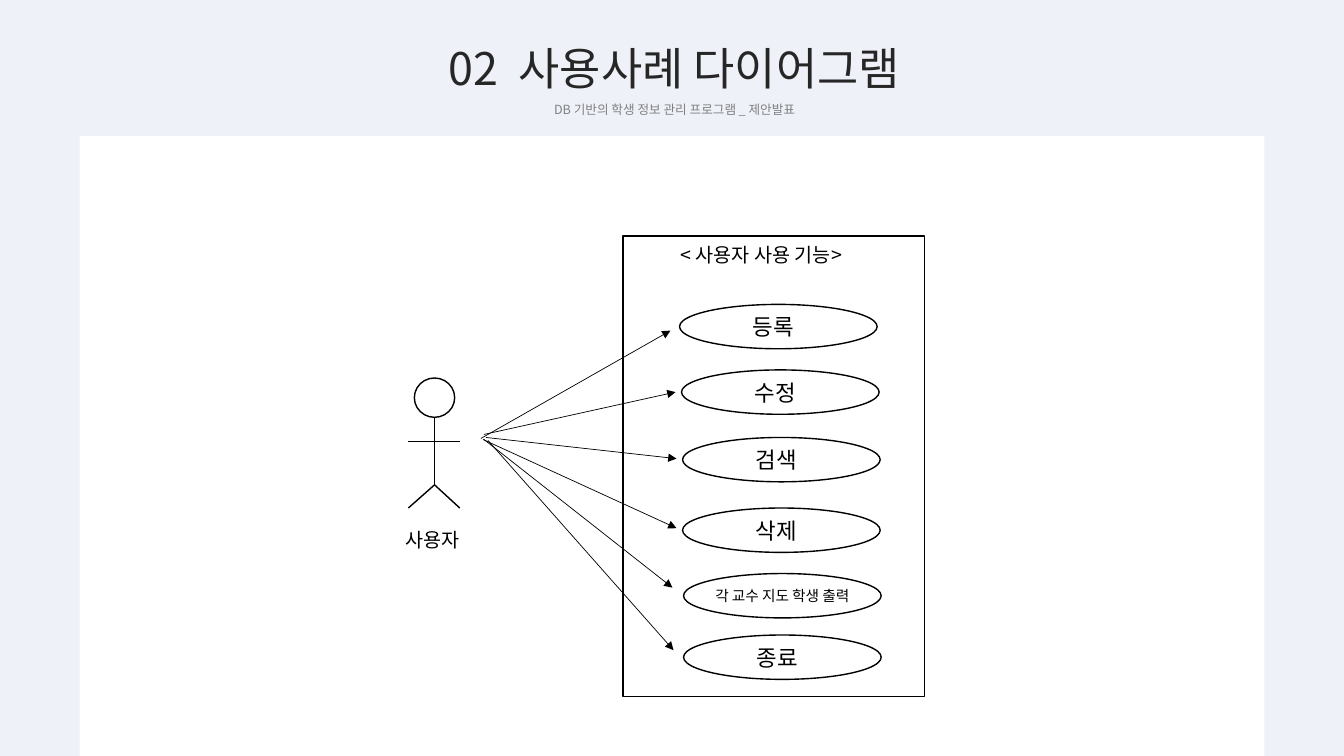
from pptx import Presentation
from pptx.dml.color import RGBColor
from pptx.enum.shapes import MSO_CONNECTOR as Connector, MSO_SHAPE as Shape
from pptx.enum.text import MSO_ANCHOR as Anchor, MSO_AUTO_SIZE as AutoSize, PP_ALIGN as Align
from pptx.oxml.ns import qn
from pptx.util import Inches, Pt
from lxml.etree import SubElement

COLORS = {"page": "EEF1F8", "panel": "FFFFFF", "title": "262626",
          "subtitle": "808080", "ink": "000000"}
RGB = {part: RGBColor.from_string(value) for part, value in COLORS.items()}
FONT = "Noto Sans CJK KR"


def write(paragraph, text, size, color="ink"):
    run = paragraph.add_run()
    run.text = text
    for name, value in {"name": FONT, "size": Pt(size), "bold": False}.items():
        setattr(run.font, name, value)
    run.font.color.rgb = RGB[color]
    SubElement(run.font._element, qn("a:ea"), typeface=FONT)
    return run


def draw_line(start, end, width, arrow=False):
    line = slide.shapes.add_connector(Connector.STRAIGHT, *map(Inches, start + end))
    line.line.color.rgb = RGB["ink"]
    line.line.width = Pt(width)
    if arrow:
        SubElement(line.line._get_or_add_ln(), qn("a:tailEnd"), type="triangle")
    SubElement(line._element.spPr, qn("a:effectLst"))


prs = Presentation()
prs.slide_width, prs.slide_height = Inches(13.33), Inches(7.5)
slide = prs.slides.add_slide(prs.slide_layouts[5])
slide.background.fill.solid()
slide.background.fill.fore_color.rgb = RGB["page"]

# White panel
panel = slide.shapes.add_shape(Shape.RECTANGLE, *map(Inches, (0.79, 1.35, 11.75, 6.15)))
panel.shadow.inherit = False
panel.fill.solid()
panel.fill.fore_color.rgb = RGB["panel"]
panel.line.fill.background()

# Title and subtitle
title = slide.shapes.title
title_box = {"left": 3.7, "top": 0.09, "width": 5.98, "height": 1.11}
for name, value in title_box.items():
    setattr(title, name, Inches(value))
heading = title.text_frame
for name, value in {"word_wrap": True, "auto_size": AutoSize.NONE,
                    "vertical_anchor": Anchor.TOP}.items():
    setattr(heading, name, value)
title_line, subtitle_line = heading.paragraphs[0], heading.add_paragraph()
for paragraph in (title_line, subtitle_line):
    paragraph.alignment = Align.CENTER
    paragraph.line_spacing = 1.5
write(title_line, "02", 32, "title")
number_gap = write(title_line, " ", 32, "title")
number_gap.font._element.set("spc", "720")
write(title_line, "사용사례 다이어그램", 32, "title")
write(subtitle_line, "DB 기반의 학생 정보 관리 프로그램 _ 제안발표", 9, "subtitle")

# Outlines: actor's head, system boundary, use cases
USE_CASES = [  # label, text size, left, top, arrow start, arrow end
    ("등록", 16, 6.74, 3.02, (4.77, 4.35), (6.65, 3.28)),
    ("수정", 16, 6.76, 3.67, (4.8, 4.31), (6.7, 3.89)),
    ("검색", 16, 6.77, 4.34, (4.82, 4.34), (6.71, 4.55)),
    ("삭제", 16, 6.77, 5.04, (4.79, 4.36), (6.71, 5.24)),
    ("각 교수 지도 학생 출력", 10.5, 6.78, 5.69, (4.8, 4.36), (6.67, 5.83)),
    ("종료", 16, 6.78, 6.3, (4.84, 4.37), (6.68, 6.45)),
]
outlines = [(Shape.OVAL, (4.11, 3.75, 0.4, 0.39), "", 16),
            (Shape.RECTANGLE, (6.18, 2.34, 2.99, 4.57), "", 16)]
outlines += [(Shape.OVAL, (left, top, 1.96, 0.44), label, size)
             for label, size, left, top, _, _ in USE_CASES]
for kind, box, label, size in outlines:
    outline = slide.shapes.add_shape(kind, *map(Inches, box))
    outline.shadow.inherit = False
    outline.fill.background()
    outline.line.color.rgb = RGB["ink"]
    outline.line.width = Pt(1)
    if label:
        frame = outline.text_frame
        # Short labels sit slightly left of centre
        right_inset = Inches(0.1 if size == 16 else 0)
        for name, value in {"word_wrap": False, "vertical_anchor": Anchor.MIDDLE,
                            "margin_left": 0, "margin_right": right_inset,
                            "margin_top": 0, "margin_bottom": 0}.items():
            setattr(frame, name, value)
        frame.paragraphs[0].alignment = Align.CENTER
        write(frame.paragraphs[0], label, size)

# Actor's body, arms and legs
neck, hip = (4.31, 4.15), (4.31, 4.81)
for start, end in [(neck, hip), ((4.05, 4.38), (4.56, 4.38)),
                   (hip, (4.05, 5.04)), (hip, (4.56, 5.04))]:
    draw_line(start, end, 1)

# Captions
for text, box in [("< 사용자 사용 기능>", (6.65, 2.36, 2.14, 0.34)),
                  ("사용자", (3.92, 5.19, 0.87, 0.34))]:
    caption = slide.shapes.add_textbox(*map(Inches, box)).text_frame
    caption.word_wrap = True
    write(caption.paragraphs[0], text, 14)

# Arrows from the actor to each use case
for *_, start, end in USE_CASES:
    draw_line(start, end, 0.5, arrow=True)

prs.save("out.pptx")
